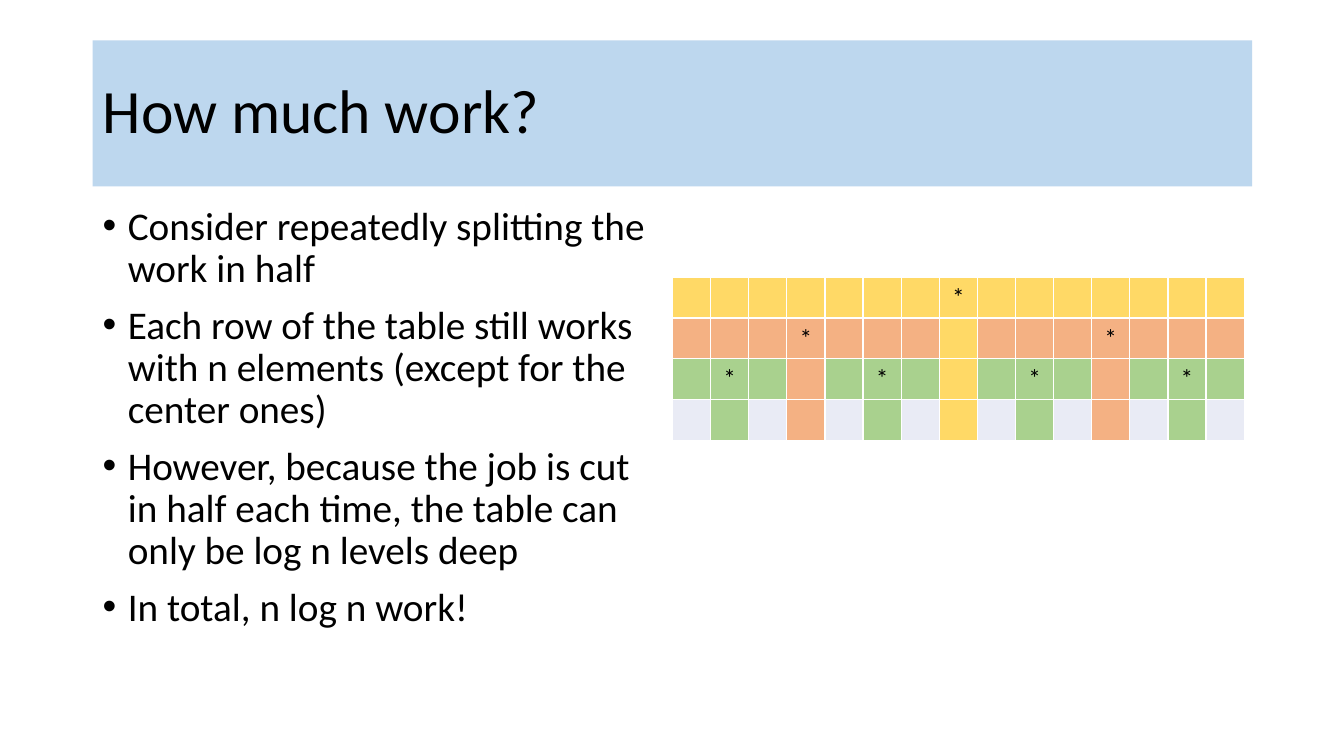
from lxml import etree
from pptx import Presentation
from pptx.dml.color import RGBColor
from pptx.enum import shapes, text
from pptx.oxml import ns
from pptx.util import Inches, Pt

# Content
TITLE = "How much work?"
BULLETS = [
    "Consider repeatedly splitting the work in half",
    "Each row of the table still works with n elements (except for the center ones)",
    "However, because the job is cut in half each time, the table can only be log n levels deep",
    "In total, n log n work!",
]
LEVEL_COLORS = ["FFD966", "F4B183", "A9D18E", "E9EBF5"]
LEVELS = len(LEVEL_COLORS)
ELEMENTS = 2 ** LEVELS - 1
TITLE_FILL, BLACK, WHITE = "BDD7EE", "000000", "FFFFFF"
FONT = "Calibri"


def color(value):
    return RGBColor.from_string(value)


def add_text(paragraph, words, size):
    run = paragraph.add_run()
    run.text = words
    run.font.name = FONT
    run.font.size = Pt(size)
    run.font.color.rgb = color(BLACK)


def add_bullet(paragraph):
    properties = paragraph._p.get_or_add_pPr()
    properties.set("marL", str(Inches(0.25)))
    properties.set("indent", str(-Inches(0.25)))
    etree.SubElement(properties, ns.qn("a:buFont"), typeface="Arial")
    etree.SubElement(properties, ns.qn("a:buChar"), char="•")


def add_borders(cell):
    properties = cell._tc.get_or_add_tcPr()
    for side in ("lnL", "lnR", "lnT", "lnB"):
        line = etree.SubElement(properties, ns.qn("a:" + side), w=str(Pt(1)))
        fill = etree.SubElement(line, ns.qn("a:solidFill"))
        etree.SubElement(fill, ns.qn("a:srgbClr"), val=WHITE)


def split_level(position):
    """Level at which the element at this 1-based position is a center."""
    level = LEVELS - 1
    while position % 2 == 0:
        position //= 2
        level -= 1
    return level


presentation = Presentation()
presentation.slide_width = Inches(13.33)
presentation.slide_height = Inches(7.5)
slide = presentation.slides.add_slide(presentation.slide_layouts[6])

# Title bar
title = slide.shapes.add_shape(shapes.MSO_SHAPE.RECTANGLE, Inches(0.92), Inches(0.4),
                               Inches(11.5), Inches(1.45))
title.shadow.inherit = False
title.fill.solid()
title.fill.fore_color.rgb = color(TITLE_FILL)
title.line.fill.background()
title.text_frame.vertical_anchor = text.MSO_ANCHOR.MIDDLE
paragraph = title.text_frame.paragraphs[0]
paragraph.alignment = text.PP_ALIGN.LEFT
paragraph.line_spacing = 0.9
add_text(paragraph, TITLE, 44)

# Bullets
body = slide.shapes.add_textbox(Inches(0.92), Inches(2), Inches(5.67), Inches(4.76)).text_frame
body.word_wrap = True
for index, words in enumerate(BULLETS):
    paragraph = body.add_paragraph() if index else body.paragraphs[0]
    add_bullet(paragraph)
    paragraph.line_spacing = 0.9
    paragraph.space_before = Pt(10 if index else 0)
    add_text(paragraph, words, 28)

# Table: a center keeps its level's color in every row below
table = slide.shapes.add_table(LEVELS, ELEMENTS, Inches(6.67), Inches(2.75),
                               Inches(5.67), Inches(1.62)).table
table.first_row = False
table.horz_banding = False
for row, column in ((r, c) for r in range(LEVELS) for c in range(ELEMENTS)):
    level = split_level(column + 1)
    cell = table.cell(row, column)
    add_borders(cell)
    cell.fill.solid()
    cell.fill.fore_color.rgb = color(LEVEL_COLORS[min(row, level)])
    if row == level < LEVELS - 1:
        paragraph = cell.text_frame.paragraphs[0]
        paragraph.alignment = text.PP_ALIGN.CENTER
        add_text(paragraph, "*", 18)

presentation.save("out.pptx")
